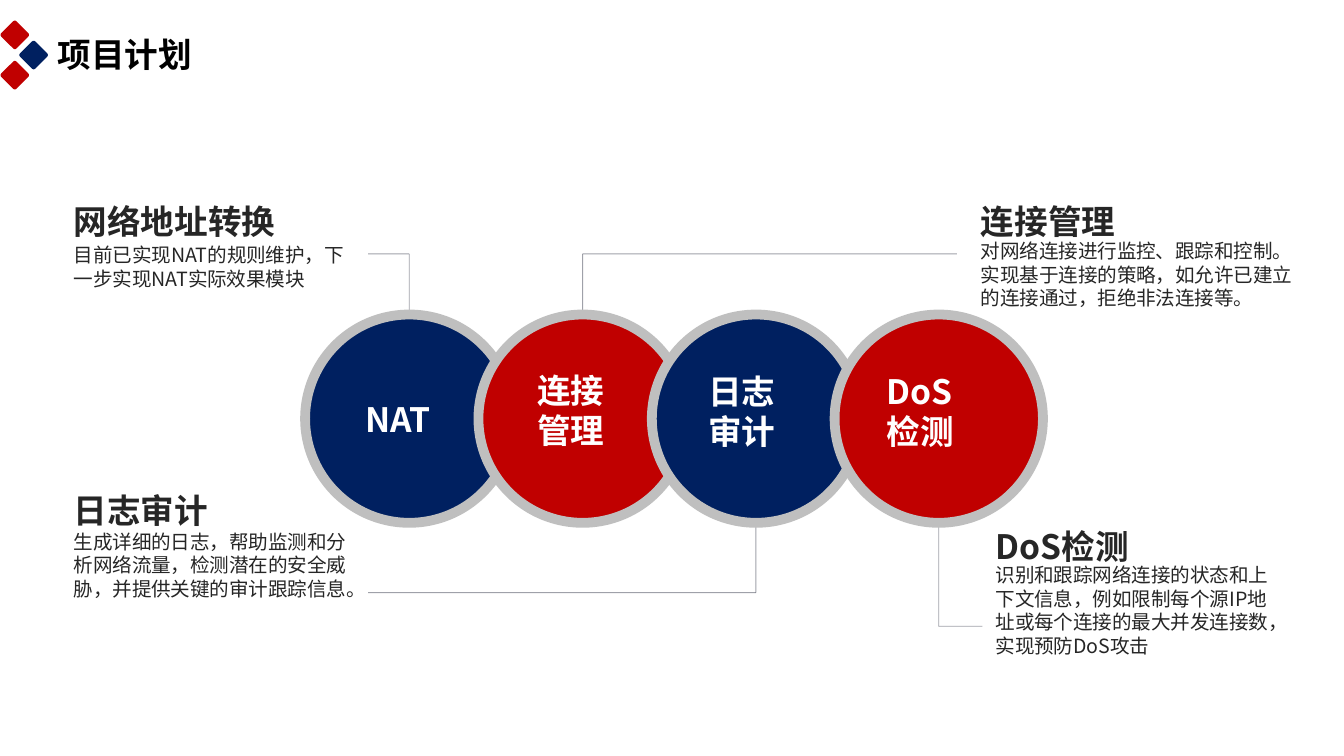
from pptx import Presentation
from pptx.dml.color import RGBColor
from pptx.enum.shapes import MSO_CONNECTOR, MSO_SHAPE
from pptx.enum.text import MSO_ANCHOR, PP_ALIGN
from pptx.oxml.ns import qn
from pptx.util import Inches, Pt
from lxml import etree

FONT = "Noto Sans CJK SC"
NAVY, RED, GREY, INK, RULE = "002060", "C00000", "BFBFBF", "262626", "414455"
TITLE = {"size": Pt(18), "bold": True}
BODY = {"size": Pt(10.5), "bold": False}


def rgb(value):
    """Turn a hex string into a colour."""
    return RGBColor.from_string(value)


def write(sp, text, fmt, color, spacing, inset=(0.1, 0.05)):
    """Write one left-aligned, wrapped paragraph into a shape."""
    tf = sp.text_frame
    x, y = map(Inches, inset)
    frame = {"word_wrap": True, "vertical_anchor": MSO_ANCHOR.TOP,
             "margin_left": x, "margin_right": x,
             "margin_top": y, "margin_bottom": y}
    for key, value in frame.items():
        setattr(tf, key, value)
    p = tf.paragraphs[0]
    p.alignment = PP_ALIGN.LEFT
    p.line_spacing = Pt(spacing)
    r = p.add_run()
    r.text = text
    for key, value in {**fmt, "name": FONT}.items():
        setattr(r.font, key, value)
    r.font.color.rgb = rgb(color)
    etree.SubElement(r._r.get_or_add_rPr(), qn("a:ea")).set("typeface", FONT)


def add_text(s, box, *style, **options):
    """Add a text box."""
    write(s.shapes.add_textbox(*map(Inches, box)), *style, **options)


def add_filled(s, kind, box, fill, line=None):
    """Add a filled preset shape with an optional outline."""
    sp = s.shapes.add_shape(kind, *map(Inches, box))
    sp.shadow.inherit = False
    sp.fill.solid()
    sp.fill.fore_color.rgb = rgb(fill)
    if line:
        sp.line.color.rgb = rgb(line)
        sp.line.width = Pt(5.25)
    else:
        sp.line.fill.background()
    return sp


def add_header(s, x, y, title):
    """Place three diamonds and the slide title."""
    side = 0.16
    for dx, dy, color in ((0.11, 0.11, RED), (0.25, 0.26, NAVY), (0.11, 0.41, RED)):
        box = (x + dx - side / 2, y + dy - side / 2, side, side)
        sp = add_filled(s, MSO_SHAPE.ROUNDED_RECTANGLE, box, color)
        sp.adjustments[0] = 0.1
        sp.rotation = 45
    add_text(s, (x + 0.36, y + 0.07, 1.76, 0.38), title, TITLE, "000000", 21,
             inset=(0.07, 0.04))


def add_note(s, x, y, gap, width, heading, body):
    """Place a heading with its explanation below."""
    add_text(s, (x, y, 2.28, 0.32), heading, TITLE, INK, 30)
    add_text(s, (x, y + gap, width, 1.04), body, BODY, INK, 12.6)


def add_leader(s, x, y, bend, end):
    """Draw a two-part line from a circle out to its note."""
    points = ((x, y), (x, bend), (end, bend))
    for start, stop in zip(points, points[1:]):
        c = s.shapes.add_connector(MSO_CONNECTOR.STRAIGHT, *map(Inches, start + stop))
        c.line.width = Pt(0.5)
        c.line.color.rgb = rgb(RULE)
        color = c.line._ln.find(".//" + qn("a:srgbClr"))
        etree.SubElement(color, qn("a:alpha")).set("val", "50000")
        etree.SubElement(c._element.spPr, qn("a:effectLst"))


def add_circle(s, x, y, size, color, label, dx, dy, width):
    """Place a ringed circle and its label."""
    add_filled(s, MSO_SHAPE.OVAL, (x, y, size, size), color, GREY)
    sp = add_filled(s, MSO_SHAPE.RECTANGLE, (x + dx, y + dy, width, 0.47), color)
    write(sp, label, TITLE, "FFFFFF", 21.6)


def main():
    """Build the project plan slide."""
    prs = Presentation()
    prs.slide_width = Inches(10)
    prs.slide_height = prs.slide_width * 9 // 16
    s = prs.slides.add_slide(prs.slide_layouts[6])

    notes = (
        (0.45, 1.33, 0.43, 2.28, "网络地址转换",
         "目前已实现NAT的规则维护，下一步实现NAT实际效果模块"),
        (0.45, 3.48, 0.41, 2.28, "日志审计",
         "生成详细的日志，帮助监测和分析网络流量，检测潜在的安全威胁，并提供关键的审计跟踪信息。"),
        (7.2, 1.33, 0.4, 2.56, "连接管理",
         "对网络连接进行监控、跟踪和控制。实现基于连接的策略，如允许已建立的连接通过，拒绝非法连接等。"),
        (7.31, 3.75, 0.39, 2.28, "DoS检测",
         "识别和跟踪网络连接的状态和上下文信息，例如限制每个源IP地址或每个连接的最大并发连接数，实现预防DoS攻击"),
    )
    for note in notes:
        add_note(s, *note)

    top, size = 2.34, 1.55
    bottom = top + size
    circles = (
        (2.27, NAVY, "NAT", 0.35, 0.58, 1, top, 1.89, 2.74),
        (3.56, RED, "连接管理", 0.34, 0.36, 0.81, top, 1.89, 7.12),
        (4.85, NAVY, "日志审计", 0.32, 0.37, 0.75, bottom, 4.41, 2.74),
        (6.21, RED, "DoS检测", 0.29, 0.37, 0.87, bottom, 4.66, 7.31),
    )
    for x, *_, edge, bend, end in circles:
        add_leader(s, x + size / 2, edge, bend, end)
    for x, color, label, dx, dy, width, *_ in circles:
        add_circle(s, x, top, size, color, label, dx, dy, width)

    add_header(s, 0, 0.15, "项目计划")
    prs.save("out.pptx")


if __name__ == "__main__":
    main()
